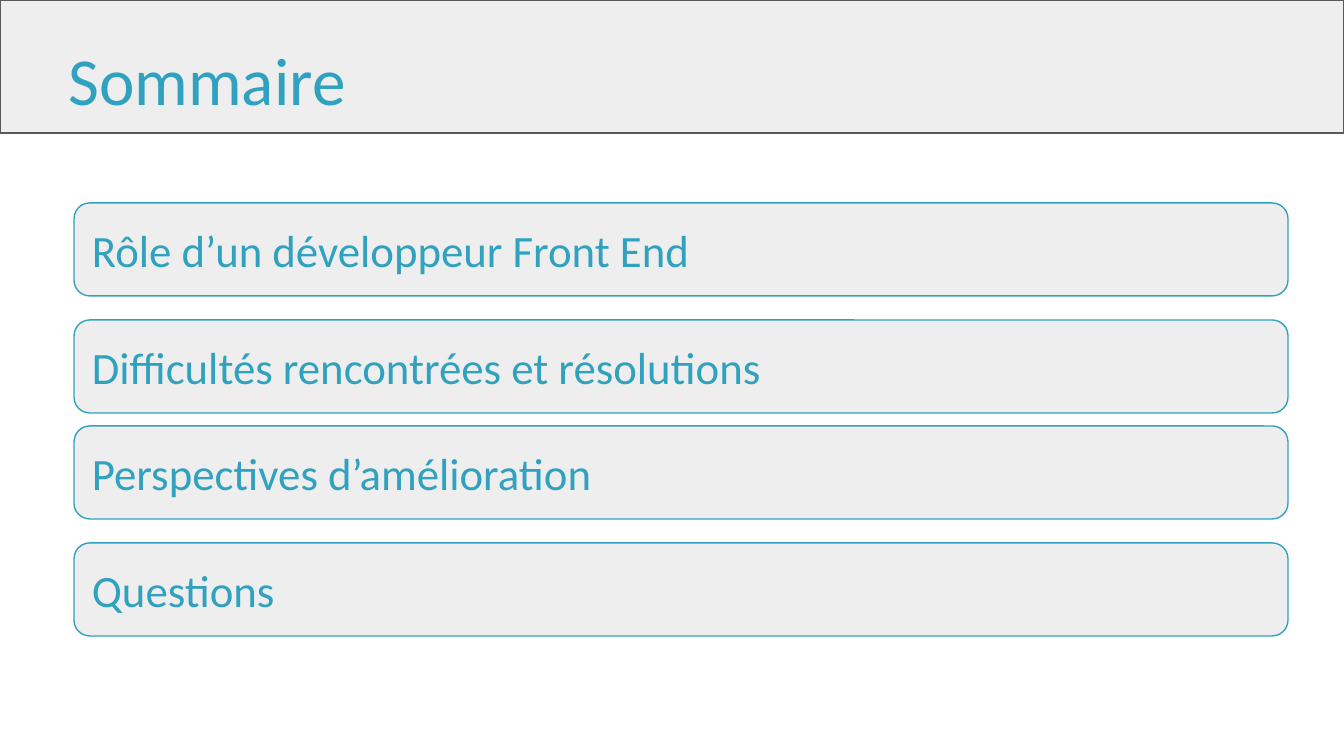
"""Build the summary slide: a title band above four rounded topic bars."""
from pptx import Presentation, util as u
from pptx.dml.color import RGBColor
from pptx.enum import shapes, text

SCALE = 914400 / 134.4
COLORS = {"teal": "30A2BF", "pale": "EEEEEE", "gray": "595959"}
TOPICS = [
    (203, "Rôle d’un développeur Front End"),
    (320, "Difficultés rencontrées et résolutions"),
    (426, "Perspectives d’amélioration"),
    (543, "Questions"),
]


def add_box(kind, area, edge):
    box = slide.shapes.add_shape(kind, *[round(n * SCALE) for n in area])
    box.shadow.inherit = False
    box.fill.solid()
    box.fill.fore_color.rgb = RGBColor.from_string(COLORS["pale"])
    box.line.color.rgb = RGBColor.from_string(COLORS[edge])
    box.line.width = u.Pt(0.75)
    return box


def set_text(shape, words, size, anchor):
    frame = shape.text_frame
    frame.word_wrap = True
    frame.auto_size = text.MSO_AUTO_SIZE.NONE
    frame.vertical_anchor = anchor
    frame.margin_left = frame.margin_right = u.Inches(0.1)
    frame.margin_top = frame.margin_bottom = u.Inches(0.1)
    line = frame.paragraphs[0]
    line.alignment = text.PP_ALIGN.LEFT
    run = line.add_run()
    run.text = words
    run.font.size = u.Pt(size)
    run.font.name = "Calibri"
    run.font.color.rgb = RGBColor.from_string(COLORS["teal"])


deck = Presentation()
deck.slide_width = round(1344 * SCALE)
deck.slide_height = round(756 * SCALE)
slide = deck.slides.add_slide(deck.slide_layouts[5])

band = add_box(shapes.MSO_SHAPE.RECTANGLE, (0, 0, 1344, 133), "gray")
title = slide.shapes.title
title.element.addprevious(band.element)
title.left, title.top, title.width, title.height = [
    round(n * SCALE) for n in (55, 20, 1253, 112)
]
set_text(title, "Sommaire", 36, text.MSO_ANCHOR.BOTTOM)

for top, topic in TOPICS:
    bar = add_box(shapes.MSO_SHAPE.ROUNDED_RECTANGLE, (74, top, 1214, 93), "teal")
    bar.adjustments[0] = 0.17
    set_text(bar, topic, 24, text.MSO_ANCHOR.MIDDLE)

deck.save("out.pptx")
